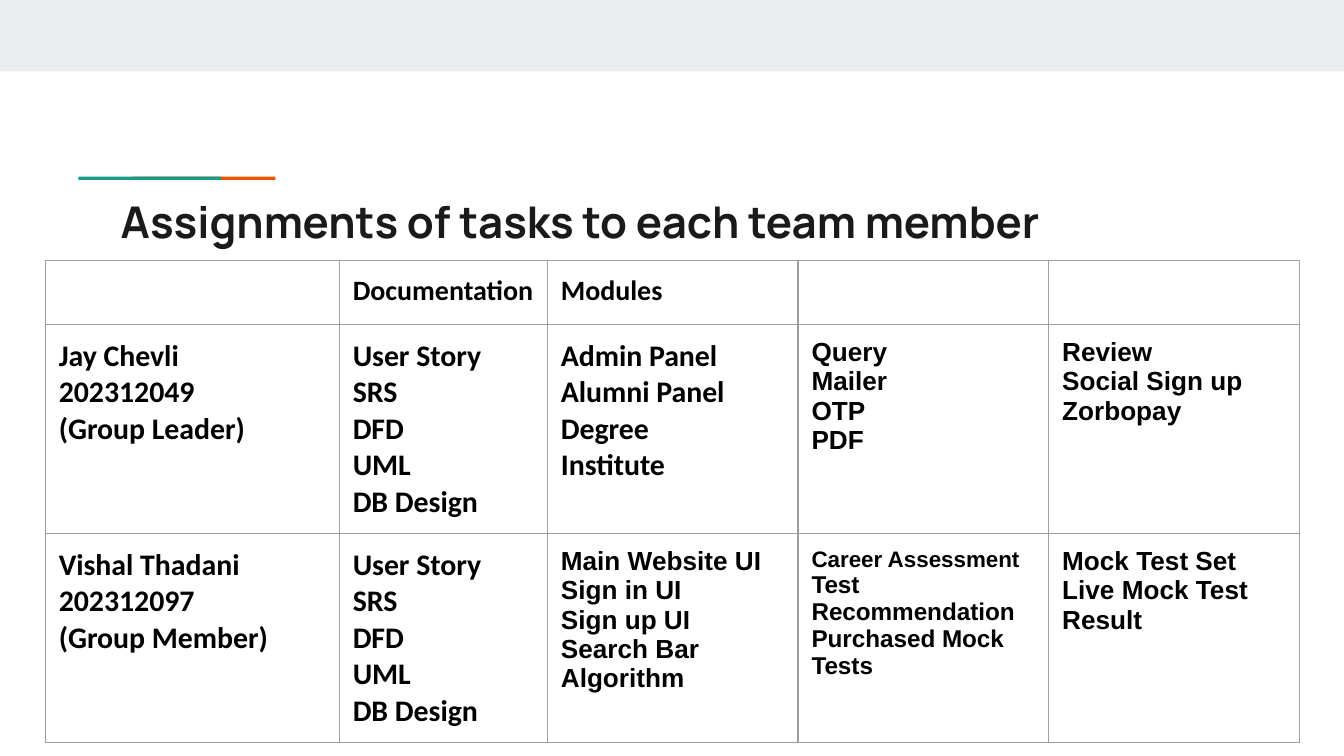
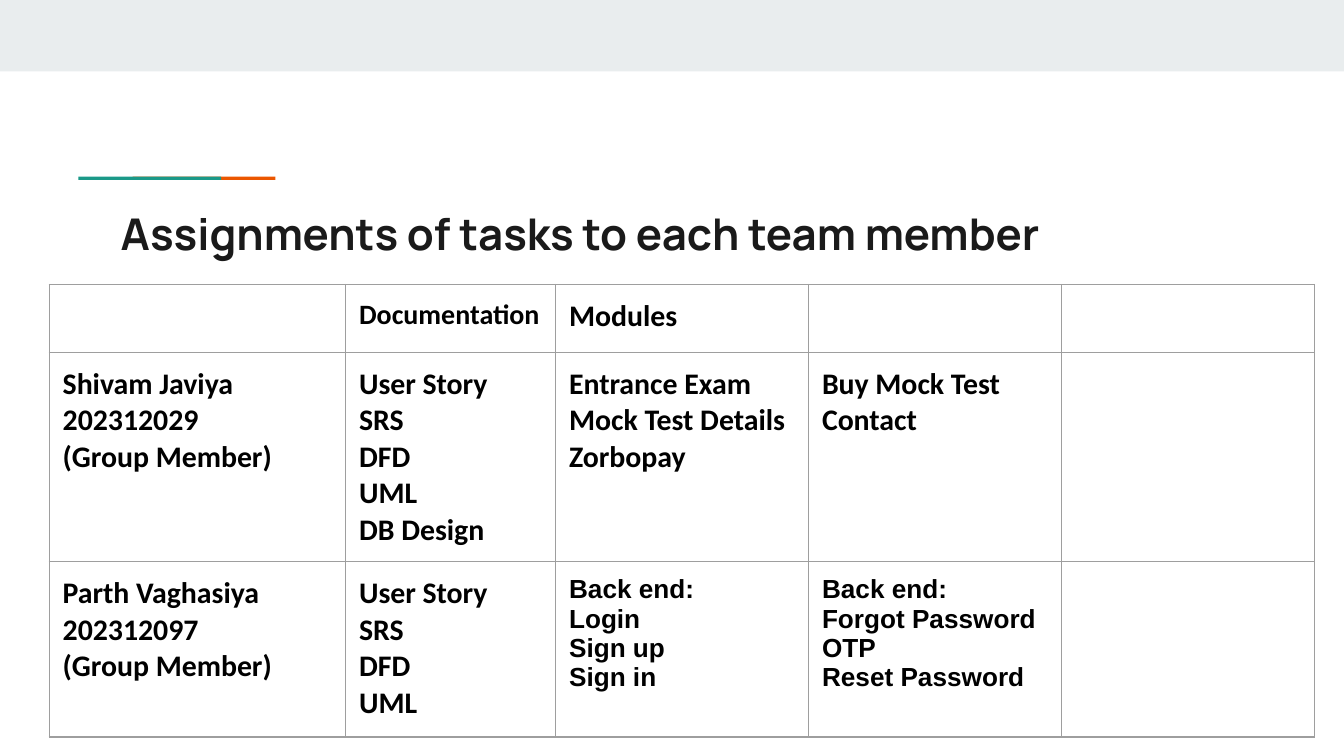
from lxml.etree import SubElement
from pptx import Presentation
from pptx.dml.color import RGBColor
from pptx.enum.shapes import MSO_SHAPE as Preset
from pptx.enum.text import MSO_ANCHOR as Anchor
from pptx.oxml.ns import qn
from pptx.util import Pt

BAND = RGBColor(0xE9, 0xED, 0xEE)
ORANGE = RGBColor(0xEB, 0x56, 0x00)
TEAL = RGBColor(0x1A, 0x99, 0x88)
INK = RGBColor(0x1A, 0x1A, 0x1A)
BLACK = RGBColor(0x00, 0x00, 0x00)
GRID = RGBColor(0x9E, 0x9E, 0x9E)

HEADING = ("Calibri", 15)
BODY = ("Calibri", 16)
PLAIN = ("Arial", 14)
COMPACT = ("Arial", 13)
TINY = ("Arial", 12)
TITLE = ("Manrope", 23.4)

WIDTH, HEIGHT = 720, 405
INSET = 7.2


def lines(style, *texts):
    return [(text, style) for text in texts]


class TaskDeck:
    """Builds task slides that share a band, an accent rule, a title and a table style."""

    def __init__(self):
        self.deck = Presentation()
        self.deck.slide_width, self.deck.slide_height = Pt(WIDTH), Pt(HEIGHT)
        self.page = None

    def new_page(self, title, title_top):
        self.page = self.deck.slides.add_slide(self.deck.slide_layouts[6])
        self.bar(0, 0, WIDTH, 38.3, BAND)
        self.bar(71, 94.6, 76.5, 1.8, ORANGE)
        self.bar(42, 94.6, 76.5, 1.8, TEAL)
        self.title(title, title_top)

    def bar(self, left, top, width, height, color):
        shape = self.page.shapes.add_shape(
            Preset.RECTANGLE, Pt(left), Pt(top), Pt(width), Pt(height))
        shape.shadow.inherit = False
        shape.fill.solid()
        shape.fill.fore_color.rgb = color
        shape.line.fill.background()

    def title(self, text, top):
        box = self.page.shapes.add_textbox(Pt(57.6), Pt(top), Pt(605.5), Pt(42.5))
        frame = box.text_frame
        frame.word_wrap = True
        frame.vertical_anchor = Anchor.TOP
        frame.margin_left = frame.margin_right = Pt(INSET)
        frame.margin_top = frame.margin_bottom = Pt(INSET)
        self.add_lines(frame, lines(TITLE, text), INK)

    def add_lines(self, frame, content, color):
        for index, (text, (font, size)) in enumerate(content):
            para = frame.add_paragraph() if index else frame.paragraphs[0]
            span = para.add_run()
            span.text = text
            span.font.name, span.font.size = font, Pt(size)
            span.font.bold = True
            span.font.color.rgb = color

    def table(self, left, top, widths, heights, rows):
        table = self.page.shapes.add_table(
            len(heights), len(widths), Pt(left), Pt(top),
            Pt(sum(widths)), Pt(sum(heights))).table
        table.first_row = table.horz_banding = False
        for column, width in zip(table.columns, widths):
            column.width = Pt(width)
        for row, height, contents in zip(table.rows, heights, rows):
            row.height = Pt(height)
            for cell, content in zip(row.cells, contents):
                self.cell(cell, content)

    def cell(self, cell, content):
        cell.margin_left = cell.margin_right = Pt(INSET)
        cell.margin_top = cell.margin_bottom = Pt(INSET)
        cell.vertical_anchor = Anchor.TOP
        properties = cell._tc.get_or_add_tcPr()
        for side in ("a:lnL", "a:lnR", "a:lnT", "a:lnB"):
            edge = SubElement(properties, qn(side), w=str(Pt(0.75)))
            fill = SubElement(edge, qn("a:solidFill"))
            SubElement(fill, qn("a:srgbClr"), val=str(GRID))
        cell.fill.background()
        if content:
            self.add_lines(cell.text_frame, content, BLACK)
        else:
            SubElement(cell.text_frame.paragraphs[0]._p, qn("a:endParaRPr"), sz="1400")

    def save(self):
        self.deck.save("out.pptx")


def main():
    title = "Assignments of tasks to each team member"
    documents = lines(BODY, "User Story", "SRS", "DFD", "UML", "DB Design")
    documentation = lines(HEADING, "Documentation")
    deck = TaskDeck()

    deck.new_page(title, 97.2)
    deck.table(24.3, 139.7, [157.5, 111.5] + [134.3] * 3, [34, 112, 112], [
        [[], documentation, lines(HEADING, "Modules"), [], []],
        [lines(BODY, "Jay Chevli", "202312049", "(Group Leader)"),
         documents,
         lines(BODY, "Admin Panel", "Alumni Panel", "Degree", "Institute"),
         lines(PLAIN, "Query", "Mailer", "OTP", "PDF"),
         lines(PLAIN, "Review", "Social Sign up", "Zorbopay")],
        [lines(BODY, "Vishal Thadani", "202312097", "(Group Member)"),
         documents,
         lines(PLAIN, "Main Website UI", "Sign in UI", "Sign up UI",
               "Search Bar Algorithm"),
         lines(TINY, "Career Assessment")
         + lines(COMPACT, "Test Recommendation", "Purchased Mock Tests"),
         lines(PLAIN, "Mock Test Set", "Live Mock Test", "Result")],
    ])

    deck.new_page(title, 103.7)
    deck.table(26.4, 152.4, [158.8, 112.5] + [135.5] * 3, [36.5, 112, 94], [
        [[], documentation, lines(BODY, "Modules"), [], []],
        [lines(BODY, "Shivam Javiya", "202312029", "(Group Member)"),
         documents,
         lines(BODY, "Entrance Exam", "Mock Test Details", "Zorbopay"),
         lines(BODY, "Buy Mock Test", "Contact"),
         []],
        [lines(BODY, "Parth Vaghasiya", "202312097", "(Group Member)"),
         documents[:-1],
         lines(PLAIN, "Back end:", "Login", "Sign up", "Sign in"),
         lines(PLAIN, "Back end:", "Forgot Password", "OTP", "Reset Password"),
         []],
    ])
    deck.save()


if __name__ == "__main__":
    main()
